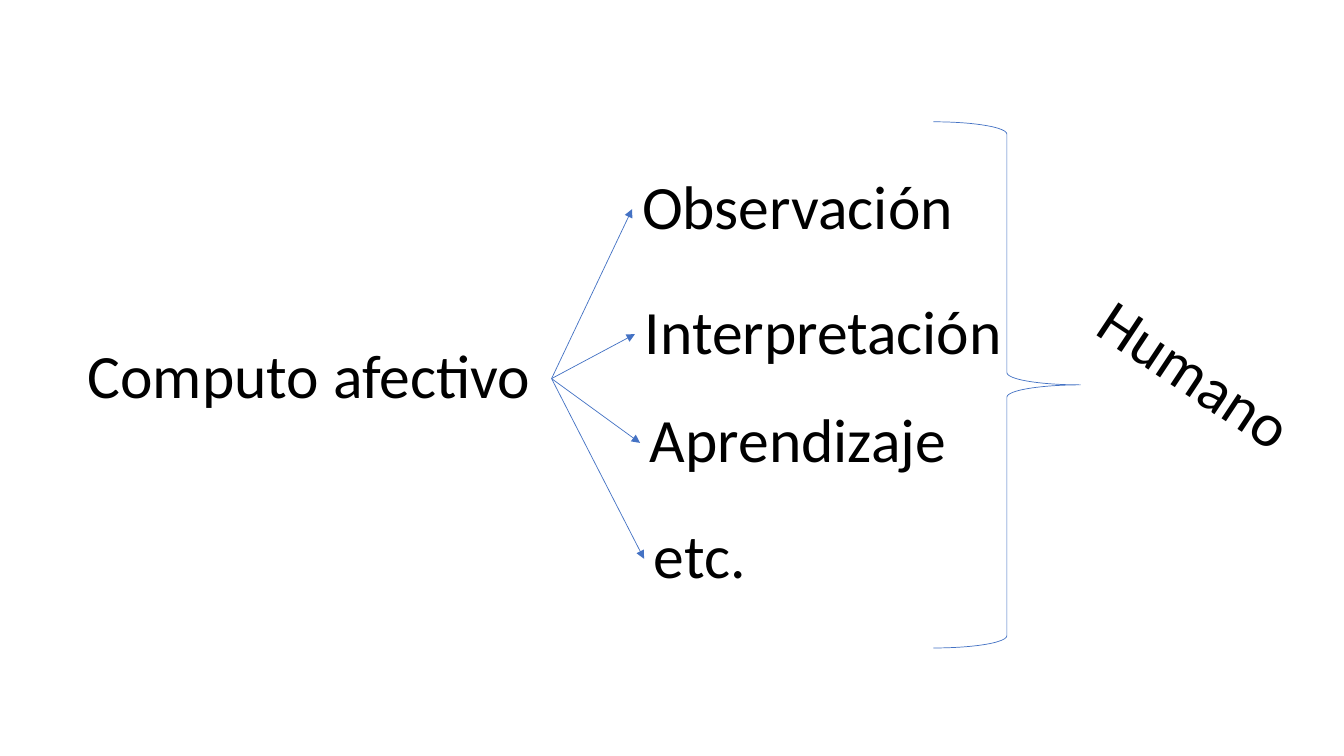
from pptx import Presentation
from pptx.dml.color import RGBColor
from pptx.enum.shapes import MSO_CONNECTOR, MSO_SHAPE
from pptx.enum.text import MSO_ANCHOR
from pptx.oxml.ns import qn
from pptx.util import Cm, Pt
from lxml import etree

COLORS = {"text": "000000", "line": "4472C4"}
FONT = "Calibri"
LABEL_HEIGHT = 3.68
LINE_WIDTH = 0.5

# Text, left, top and width in cm
CONCEPT = ("Computo afectivo", 1.96, 7.7, 11.94)
STAGES = [
    ("Observación", 15.93, 3.43, 9.09),
    ("Interpretación", 16.0, 6.58, 10.11),
    ("Aprendizaje", 16.13, 9.32, 10.11),
    ("etc.", 16.23, 12.24, 10.11),
]
HUMAN = ("Humano", 27.08, 7.85, 6.65)


def style_line(line):
    line.color.rgb = RGBColor.from_string(COLORS["line"])
    line.width = Pt(LINE_WIDTH)


def add_label(slide, text, left, top, width, rotation=0):
    sp = slide.shapes.add_textbox(Cm(left), Cm(top), Cm(width), Cm(LABEL_HEIGHT))
    sp.rotation = rotation
    tf = sp.text_frame
    tf.word_wrap = True
    tf.vertical_anchor = MSO_ANCHOR.MIDDLE
    p = tf.paragraphs[0]
    p.text = text
    p.line_spacing = 0.9
    font = p.runs[0].font
    font.name = FONT
    font.size = Pt(44)
    font.color.rgb = RGBColor.from_string(COLORS["text"])
    return sp


def add_arrow(slide, source, target):
    """Join the right side of source to the left side of target."""
    arrow = slide.shapes.add_connector(MSO_CONNECTOR.STRAIGHT, 0, 0, 0, 0)
    arrow.begin_connect(source, 3)
    arrow.end_connect(target, 1)
    style_line(arrow.line)
    etree.SubElement(arrow.line._get_or_add_ln(), qn("a:tailEnd"), type="triangle")
    etree.SubElement(arrow._element.spPr, qn("a:effectLst"))


def add_brace(slide, left, top, width, height):
    sp = slide.shapes.add_shape(
        MSO_SHAPE.RIGHT_BRACE, Cm(left), Cm(top), Cm(width), Cm(height))
    sp.shadow.inherit = False
    sp.fill.background()
    style_line(sp.line)


def main():
    prs = Presentation()
    prs.slide_width, prs.slide_height = Cm(33.87), Cm(19.05)
    slide = prs.slides.add_slide(prs.slide_layouts[6])

    # Concept and its stages
    concept = add_label(slide, *CONCEPT)
    stages = [add_label(slide, *stage) for stage in STAGES]
    for stage in stages:
        add_arrow(slide, concept, stage)

    # Brace that gathers the stages
    add_brace(slide, 23.52, 3.07, 3.71, 13.26)
    add_label(slide, *HUMAN, rotation=33.6)

    prs.save("out.pptx")


if __name__ == "__main__":
    main()
